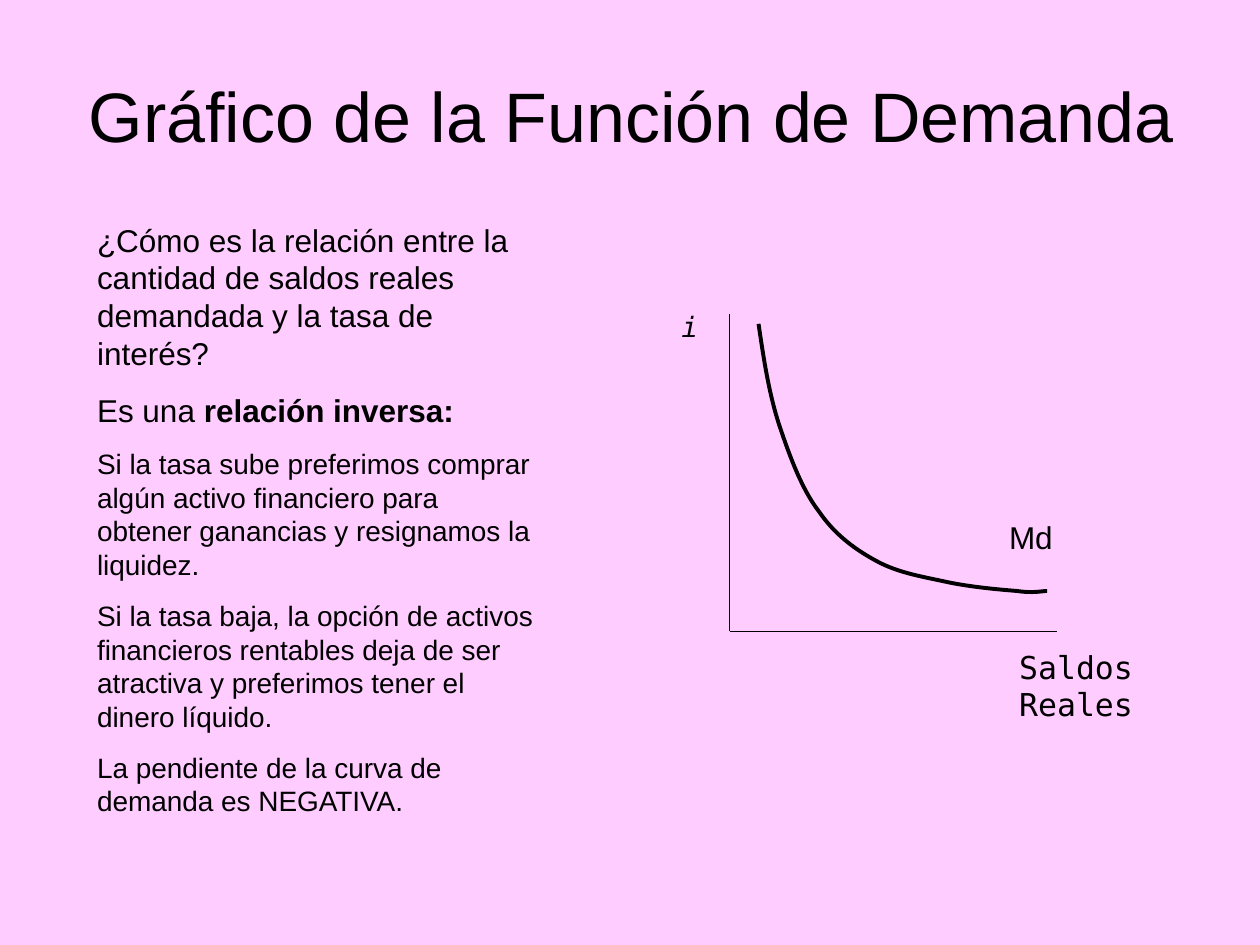
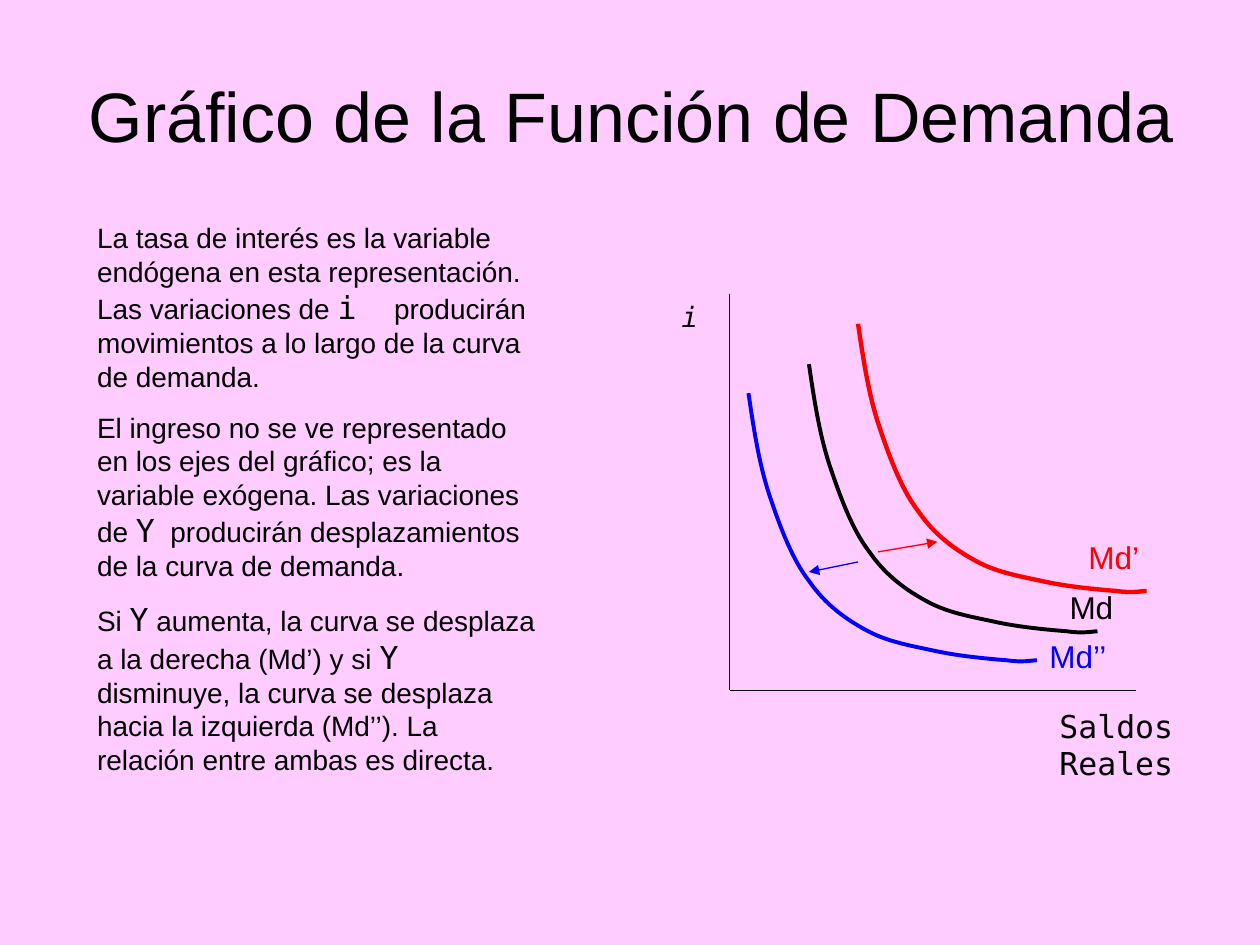
"""Build two slides on the money demand curve and its shifts."""
from dataclasses import dataclass

from lxml.etree import Element, SubElement
from pptx import Presentation
from pptx.dml.color import RGBColor
from pptx.enum.shapes import MSO_CONNECTOR
from pptx.enum.text import MSO_ANCHOR, MSO_AUTO_SIZE, PP_ALIGN
from pptx.oxml.ns import qn
from pptx.util import Inches, Pt


@dataclass(frozen=True)
class Theme:
    """Colours, fonts and type sizes of the deck."""
    background: RGBColor = RGBColor(0xFF, 0xCC, 0xFF)
    black: RGBColor = RGBColor(0, 0, 0)
    red: RGBColor = RGBColor(0xFF, 0, 0)
    blue: RGBColor = RGBColor(0, 0, 0xFF)
    sans: str = "Arial"
    mono: str = "DejaVu Sans Mono"
    title: int = 40
    large: int = 18
    small: int = 16
    axis_width: float = 0.75
    curve_width: float = 2.25
    shifted_width: float = 2.5


THEME = Theme()
TITLE = "Gráfico de la Función de Demanda"
AXIS_LEFT = 5.79
CURVE_SEGMENTS = (
    ((0.04, 0.27), (0.08, 0.54), (0.16, 0.79)),
    ((0.24, 1.03), (0.34, 1.31), (0.48, 1.49)),
    ((0.61, 1.68), (0.78, 1.8), (0.95, 1.89)),
    ((1.12, 1.98), (1.32, 2.01), (1.5, 2.05)),
    ((1.69, 2.09), (1.92, 2.11), (2.05, 2.12)),
    ((2.18, 2.14), (2.25, 2.12), (2.29, 2.12)),
)


@dataclass(frozen=True)
class Span:
    """A stretch of text in one style."""
    text: str
    size: int = THEME.small
    font: str = THEME.sans
    color: RGBColor = THEME.black
    bold: bool = False
    italic: bool = False
    spacing: float = 0


@dataclass(frozen=True)
class Label:
    """A text box beside the graph."""
    left: float
    top: float
    width: float
    height: float
    span: Span


@dataclass(frozen=True)
class Curve:
    """A demand curve, placed by its upper end, with its name."""
    start: tuple[float, float]
    name: str
    name_at: tuple[float, float]
    color: RGBColor = THEME.black
    width: float = THEME.curve_width


@dataclass(frozen=True)
class Line:
    """A straight line, with an arrowhead at its end if wanted."""
    start: tuple[float, float]
    end: tuple[float, float]
    color: RGBColor = THEME.black
    arrow: bool = False


@dataclass(frozen=True)
class DemandSlide:
    """The explanation and the graph of one slide."""
    paragraphs: tuple[tuple[Span, ...], ...]
    body_height: float
    axis_top: float
    axis_bottom: float
    axis_right: float
    rate_top: float
    balances_left: float
    curves: tuple[Curve, ...]
    shifts: tuple[Line, ...] = ()


def variable(name: str, spacing: float = 0) -> Span:
    """Return the name of a variable inside running text."""
    return Span(name, THEME.large, THEME.mono, spacing=spacing)


def write_paragraph(para, spans: tuple[Span, ...], space_before: float) -> None:
    """Fill a paragraph with styled spans."""
    para.space_before = Pt(space_before)
    for span in spans:
        run = para.add_run()
        run.text = span.text
        run.font.size = Pt(span.size)
        run.font.name = span.font
        run.font.color.rgb = span.color
        run.font.bold = span.bold
        run.font.italic = span.italic
        if span.spacing:
            run._r.get_or_add_rPr().set("spc", str(round(span.spacing * 100)))


def place(shape, left: float, top: float, width: float, height: float) -> None:
    """Move and size a placeholder and fix its text size."""
    shape.left, shape.top = Inches(left), Inches(top)
    shape.width, shape.height = Inches(width), Inches(height)
    shape.text_frame.auto_size = MSO_AUTO_SIZE.NONE


def add_title(page) -> None:
    """Write the shared title."""
    title = page.shapes.title
    place(title, 0.51, 0.28, 9, 1.25)
    title.text_frame.vertical_anchor = MSO_ANCHOR.MIDDLE
    para = title.text_frame.paragraphs[0]
    para.alignment = PP_ALIGN.CENTER
    write_paragraph(para, (Span(TITLE, THEME.title),), 0)


def add_body(page, content: DemandSlide) -> None:
    """Write the explanation on the left without bullets."""
    body = page.placeholders[1]
    place(body, 0.67, 1.7, 3.7, content.body_height)
    frame = body.text_frame
    for index, spans in enumerate(content.paragraphs):
        para = frame.add_paragraph() if index else frame.paragraphs[0]
        write_paragraph(para, spans, spans[0].size * 0.625)
        properties = para._p.get_or_add_pPr()
        properties.set("marL", "0")
        properties.set("indent", "0")
        SubElement(properties, qn("a:buNone"))


def add_label(page, label: Label) -> None:
    """Add one text box."""
    box = page.shapes.add_textbox(Inches(label.left), Inches(label.top),
                                  Inches(label.width), Inches(label.height))
    box.text_frame.word_wrap = True
    write_paragraph(box.text_frame.paragraphs[0], (label.span,), label.span.size * 0.625)


def add_line(page, line: Line) -> None:
    """Add an axis or an arrow."""
    ends = [Inches(value) for value in (*line.start, *line.end)]
    connector = page.shapes.add_connector(MSO_CONNECTOR.STRAIGHT, *ends)
    connector.line.color.rgb = line.color
    connector.line.width = Pt(THEME.axis_width)
    properties = connector._element.spPr
    if line.arrow:
        SubElement(properties.find(qn("a:ln")), qn("a:tailEnd"), type="triangle")
    SubElement(properties, qn("a:effectLst"))


def bend(shape) -> None:
    """Turn the straight segments of a freeform into cubic curves."""
    segments = list(shape._element.spPr.iter(qn("a:lnTo")))
    for segment, (first, second, _) in zip(segments, CURVE_SEGMENTS):
        segment.tag = qn("a:cubicBezTo")
        for index, (x, y) in enumerate((first, second)):
            segment.insert(index, Element(qn("a:pt"), x=str(Inches(x)), y=str(Inches(y))))


def add_curve(page, curve: Curve) -> None:
    """Draw a demand curve and its name."""
    left, top = curve.start
    builder = page.shapes.build_freeform(Inches(left), Inches(top))
    builder.add_line_segments([(Inches(left + x), Inches(top + y))
                               for _, _, (x, y) in CURVE_SEGMENTS], close=False)
    shape = builder.convert_to_shape()
    bend(shape)
    shape.shadow.inherit = False
    shape.fill.background()
    shape.line.color.rgb = curve.color
    shape.line.width = Pt(curve.width)
    add_label(page, Label(*curve.name_at, 0.71, 0.4,
                          Span(curve.name, THEME.large, color=curve.color)))


def add_graph(page, content: DemandSlide) -> None:
    """Draw the axes, their names, the curves and the shifts."""
    corner = (AXIS_LEFT, content.axis_bottom)
    add_line(page, Line((AXIS_LEFT, content.axis_top), corner))
    add_line(page, Line(corner, (content.axis_right, content.axis_bottom)))
    add_label(page, Label(5.31, content.rate_top, 0.47, 0.37,
                          Span("i", THEME.small, THEME.mono, italic=True)))
    add_label(page, Label(content.balances_left, content.axis_bottom + 0.08, 1.1, 0.7,
                          Span("Saldos Reales", THEME.large, THEME.mono)))
    for curve in content.curves:
        add_curve(page, curve)
    for shift in content.shifts:
        add_line(page, shift)


SLIDES = (
    DemandSlide(
        paragraphs=(
            (Span("¿Cómo es la relación entre la cantidad de saldos reales "
                  "demandada y la tasa de interés?", THEME.large),),
            (Span("Es una ", THEME.large),
             Span("relación inversa:", THEME.large, bold=True)),
            (Span("Si la tasa sube preferimos comprar algún activo financiero para "
                  "obtener ganancias y resignamos la liquidez."),),
            (Span("Si la tasa baja, la opción de activos financieros rentables deja "
                  "de ser atractiva y preferimos tener el dinero líquido."),),
            (Span("La pendiente de la curva de demanda es NEGATIVA."),),
        ),
        body_height=5.25, axis_top=2.49, axis_bottom=5.01, axis_right=8.39,
        rate_top=2.41, balances_left=7.99,
        curves=(Curve((6.02, 2.57), "Md", (7.91, 4.06)),),
    ),
    DemandSlide(
        paragraphs=(
            (Span("La tasa de interés es la variable endógena en esta "
                  "representación. Las variaciones de "),
             variable("i", 17),
             Span(" producirán movimientos a lo largo de la curva de demanda.")),
            (Span("El ingreso no se ve representado en los ejes del gráfico; es la "
                  "variable exógena. Las variaciones de "),
             variable("Y", 4.5),
             Span(" producirán desplazamientos de la curva de demanda.")),
            (Span("Si "),
             variable("Y"),
             Span(" aumenta, la curva se desplaza a la derecha (Md’) y si "),
             variable("Y", 4.5),
             Span(" disminuye, la curva se desplaza hacia la izquierda (Md’’). La "
                  "relación entre ambas es directa.")),
        ),
        body_height=4.51, axis_top=2.33, axis_bottom=5.48, axis_right=9.02,
        rate_top=2.33, balances_left=8.31,
        curves=(
            Curve((5.94, 3.12), "Md’’", (8.23, 5.01), THEME.blue),
            Curve((6.81, 2.57), "Md’", (8.54, 4.22), THEME.red, THEME.shifted_width),
            Curve((6.42, 2.89), "Md", (8.39, 4.62)),
        ),
        shifts=(
            Line((6.97, 4.38), (7.44, 4.3), THEME.red, arrow=True),
            Line((6.81, 4.46), (6.42, 4.54), THEME.blue, arrow=True),
        ),
    ),
)


def main() -> None:
    """Build and save the deck."""
    deck = Presentation()
    deck.slide_width, deck.slide_height = Inches(10), Inches(7.5)
    fill = deck.slide_master.background.fill
    fill.solid()
    fill.fore_color.rgb = THEME.background
    for content in SLIDES:
        page = deck.slides.add_slide(deck.slide_layouts.get_by_name("Title and Content"))
        add_title(page)
        add_body(page, content)
        add_graph(page, content)
    deck.save("out.pptx")


if __name__ == "__main__":
    main()
